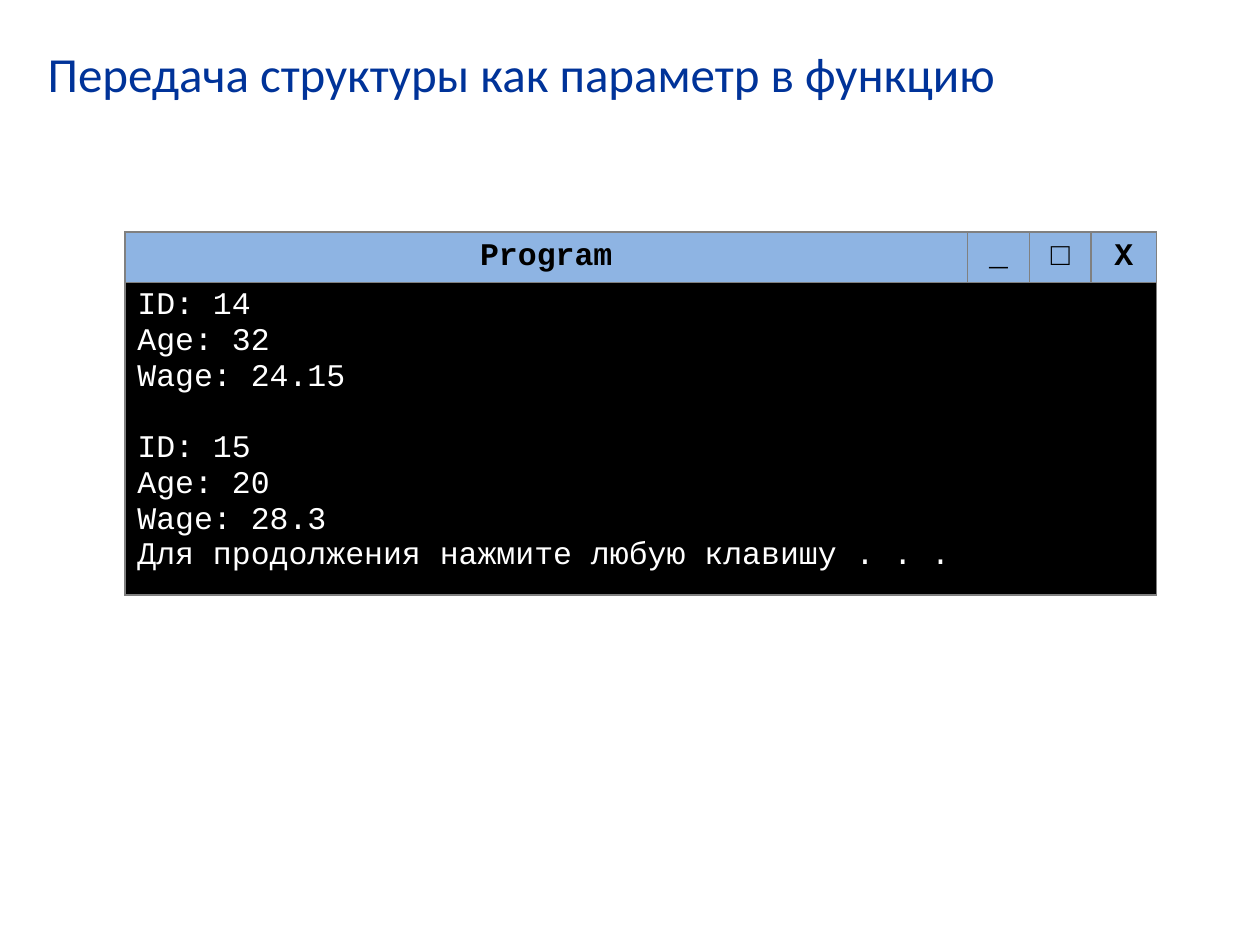
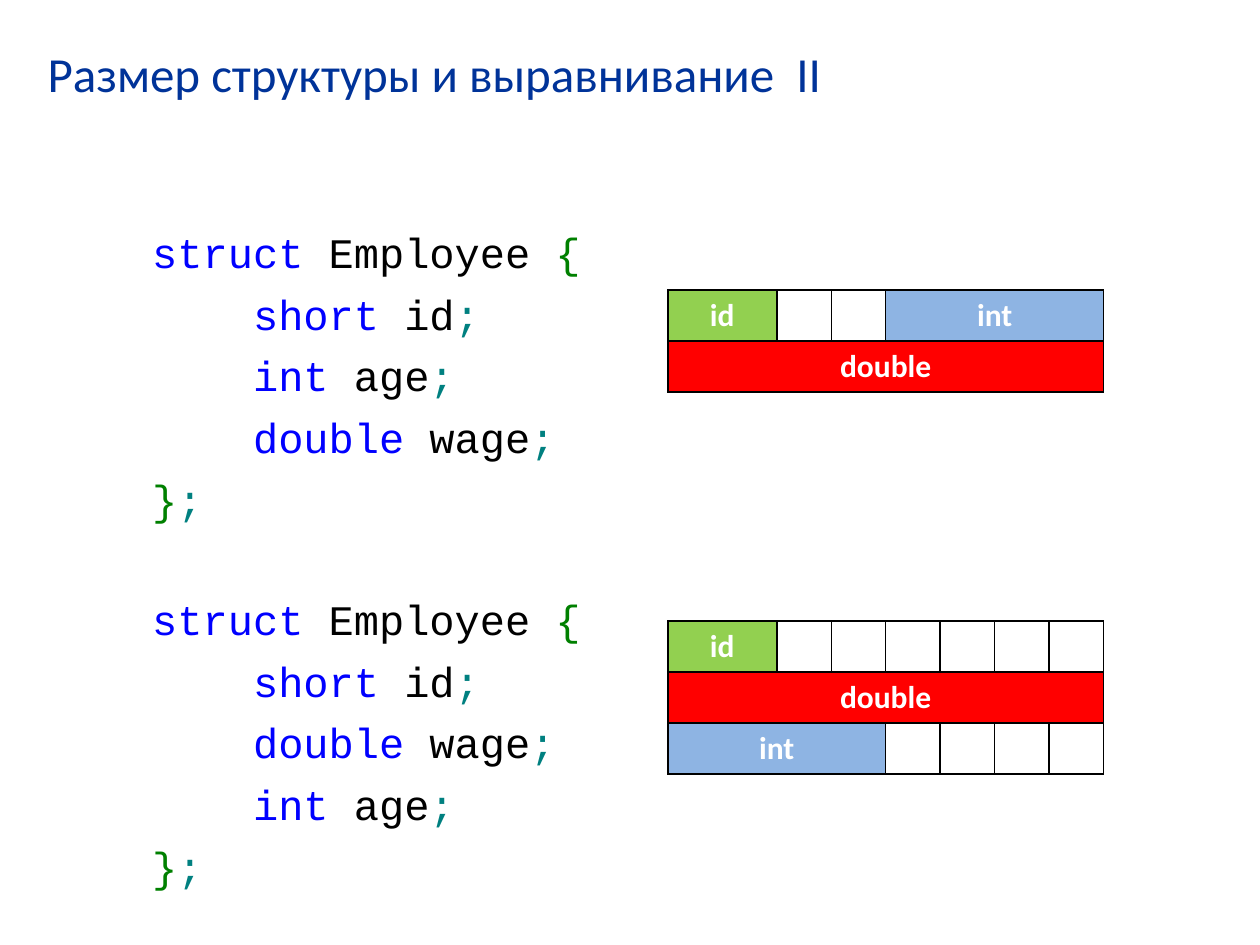
from pptx import Presentation
from pptx.dml.color import RGBColor
from pptx.enum.text import MSO_ANCHOR, PP_ALIGN
from pptx.oxml import parse_xml
from pptx.oxml.ns import nsdecls
from pptx.util import Inches, Pt

CENTER, LEFT = PP_ALIGN.CENTER, PP_ALIGN.LEFT
TOP, MIDDLE = MSO_ANCHOR.TOP, MSO_ANCHOR.MIDDLE

# Shared look
SANS, MONO = "Calibri", "Courier New"
NAVY, BLACK, WHITE, GRAY = "003399", "000000", "FFFFFF", "808080"
LIGHT_BLUE, GREEN, RED = "8EB4E3", "92D050", "FF0000"
KEYWORD, BRACE, SEMICOLON = "0000FF", "008000", "008080"

# Content
CONSOLE_TITLE = "Передача структуры как параметр в функцию"
CONSOLE_HEADER = ["Program", "_", "□", "X"]
CONSOLE_COLUMNS = [6.69, 0.49, 0.49, 0.52]
CONSOLE_ROWS = [0.38, 2.44]
CONSOLE_GROUPS = [
    ["ID: 14", "Age: 32", "Wage: 24.15"],
    ["ID: 15", "Age: 20", "Wage: 28.3",
     "Для продолжения нажмите любую клавишу . . ."],
]

ALIGNMENT_TITLE = "Размер структуры и выравнивание  II"
STRUCTS = [
    [("short", "id"), ("int", "age"), ("double", "wage")],
    [("short", "id"), ("double", "wage"), ("int", "age")],
]
# Each memory row: (label, bytes); an empty label is one padding byte
PAD = ("", 1)
ID, INT, DOUBLE = ("id", 2), ("int", 4), ("double", 8)
MEMORY_MAPS = [
    (2.3, [[ID, PAD, PAD, INT], [DOUBLE]]),
    (4.93, [[ID] + [PAD] * 6, [DOUBLE], [INT] + [PAD] * 4]),
]
MEMORY_FILLS = {"id": GREEN, "int": LIGHT_BLUE, "double": RED}
MEMORY_LEFT, MEMORY_WIDTH, ROW_HEIGHT = 5.3, 3.46, 0.81 / 2
BYTE_WIDTH = MEMORY_WIDTH / 8

CODE_SIZE, CODE_GAP, BLANK_LINE = 24, 6.4, 33.6
CODE_INDENT = 0.8  # four characters


def color(value):
    return RGBColor.from_string(value)


def style_run(run, font, size, hex_color, bold=False):
    run.font.name = font
    run.font.size = Pt(size)
    run.font.bold = bold
    run.font.color.rgb = color(hex_color)


def add_text_box(slide, left, top, width, height):
    box = slide.shapes.add_textbox(*map(Inches, (left, top, width, height)))
    box.text_frame.word_wrap = True
    box.text_frame.vertical_anchor = TOP
    return box.text_frame


def add_titled_slide(presentation, title):
    slide = presentation.slides.add_slide(presentation.slide_layouts[6])
    paragraph = add_text_box(slide, 0.28, 0.3, 9.45, 0.93).paragraphs[0]
    paragraph.text = title
    style_run(paragraph.runs[0], SANS, 28, NAVY)
    return slide


def add_plain_table(slide, left, top, columns, rows, border):
    """Add an unfilled table with a 1 pt grid."""
    frame = slide.shapes.add_table(
        len(rows), len(columns), Inches(left), Inches(top),
        Inches(sum(columns)), Inches(sum(rows)))
    table = frame.table
    table.first_row = table.horz_banding = False
    for column, width in zip(table.columns, columns):
        column.width = Inches(width)
    for row, height in zip(table.rows, rows):
        row.height = Inches(height)
    for cell in table.iter_cells():
        properties = cell._tc.get_or_add_tcPr()
        for side in ("lnL", "lnR", "lnT", "lnB"):
            properties.append(parse_xml(
                f'<a:{side} {nsdecls("a")} w="12700"><a:solidFill>'
                f'<a:srgbClr val="{border}"/></a:solidFill></a:{side}>'))
        cell.fill.background()
    return table


def fill_cell(cell, text, fill, font, text_color, bold=True,
              alignment=CENTER, anchor=MIDDLE):
    cell.fill.solid()
    cell.fill.fore_color.rgb = color(fill)
    cell.vertical_anchor = anchor
    cell.text_frame.text = text
    for paragraph in cell.text_frame.paragraphs:
        paragraph.alignment = alignment
        for run in paragraph.runs:
            style_run(run, font, 18, text_color, bold)


def add_console(slide):
    table = add_plain_table(slide, 0.99, 1.84, CONSOLE_COLUMNS, CONSOLE_ROWS, GRAY)
    for column, text in enumerate(CONSOLE_HEADER):
        fill_cell(table.cell(0, column), text, LIGHT_BLUE, MONO, BLACK)
    body = table.cell(1, 0)
    body.merge(table.cell(1, len(CONSOLE_COLUMNS) - 1))
    lines = [line for group in CONSOLE_GROUPS for line in group]
    fill_cell(body, "\n".join(lines), BLACK, MONO, WHITE, False, LEFT, TOP)
    # One line of space ahead of the second group
    body.text_frame.paragraphs[len(CONSOLE_GROUPS[0])].space_before = Pt(20.4)


def add_code(slide):
    text_frame = add_text_box(slide, 1.11, 1.75, 8.89, 4.95)
    lines = []  # (indent, space before, coloured tokens)
    for index, fields in enumerate(STRUCTS):
        gap = CODE_GAP + (BLANK_LINE if index else 0)
        lines.append((0, gap, [("struct", KEYWORD), (" Employee ", BLACK), ("{", BRACE)]))
        for kind, name in fields:
            lines.append((CODE_INDENT, CODE_GAP,
                          [(kind, KEYWORD), (f" {name}", BLACK), (";", SEMICOLON)]))
        lines.append((0, CODE_GAP, [("}", BRACE), (";", SEMICOLON)]))

    for index, (indent, gap, tokens) in enumerate(lines):
        paragraph = text_frame.add_paragraph() if index else text_frame.paragraphs[0]
        paragraph.space_before = Pt(gap)
        paragraph._p.get_or_add_pPr().set("marL", str(Inches(indent)))
        for text, token_color in tokens:
            run = paragraph.add_run()
            run.text = text
            style_run(run, MONO, CODE_SIZE, token_color)


def add_memory_map(slide, top, rows):
    # Column edges are all the byte offsets at which some field starts or ends
    offsets = [[sum(size for _, size in row[:i]) for i in range(len(row) + 1)]
               for row in rows]
    edges = sorted(set().union(*offsets))
    widths = [(end - start) * BYTE_WIDTH for start, end in zip(edges, edges[1:])]
    table = add_plain_table(slide, MEMORY_LEFT, top, widths,
                            [ROW_HEIGHT] * len(rows), BLACK)
    for row_index, row in enumerate(rows):
        for (label, size), start in zip(row, offsets[row_index]):
            if not label:
                continue
            first, last = edges.index(start), edges.index(start + size) - 1
            cell = table.cell(row_index, first)
            if last > first:
                cell.merge(table.cell(row_index, last))
            fill_cell(cell, label, MEMORY_FILLS[label], SANS, WHITE)


presentation = Presentation()
presentation.slide_width, presentation.slide_height = Inches(10), Inches(7.5)

# Slide 1: program output
add_console(add_titled_slide(presentation, CONSOLE_TITLE))

# Slide 2: structures and their memory layout
alignment_slide = add_titled_slide(presentation, ALIGNMENT_TITLE)
add_code(alignment_slide)
for map_top, map_rows in MEMORY_MAPS:
    add_memory_map(alignment_slide, map_top, map_rows)

presentation.save("out.pptx")
